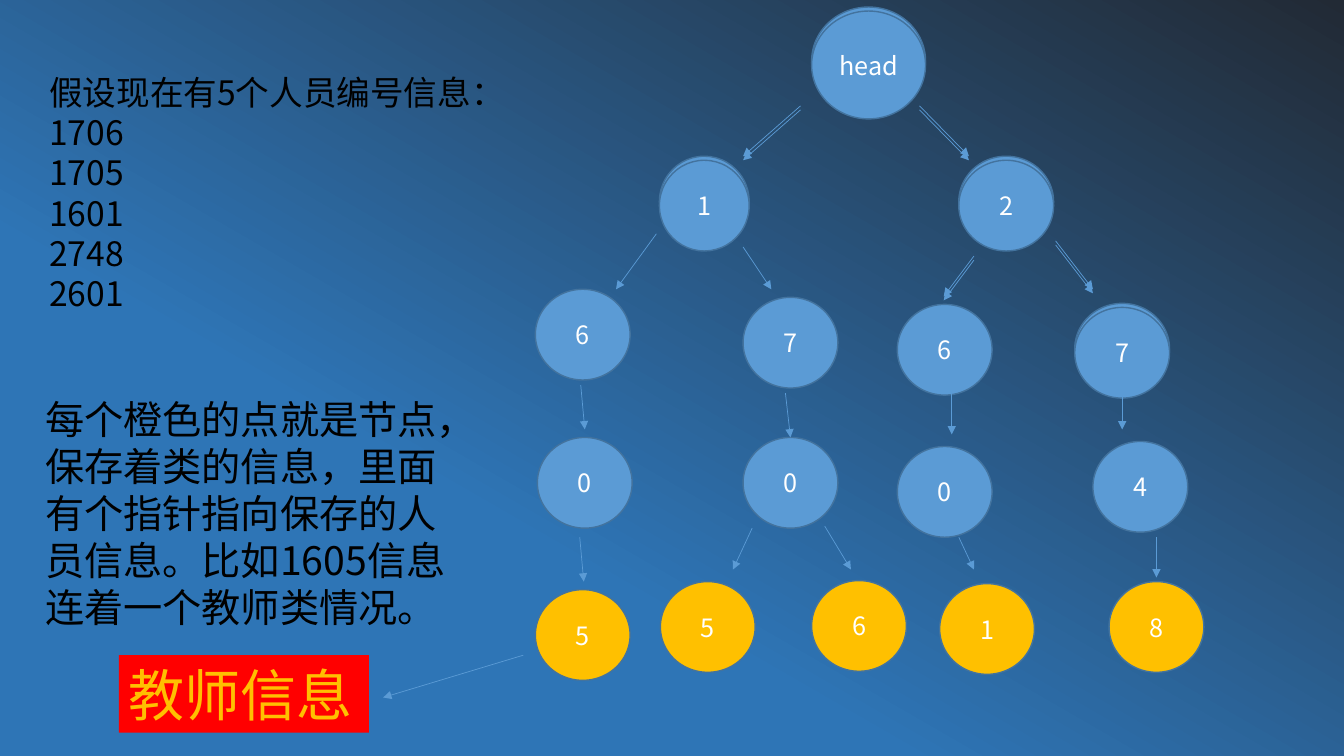
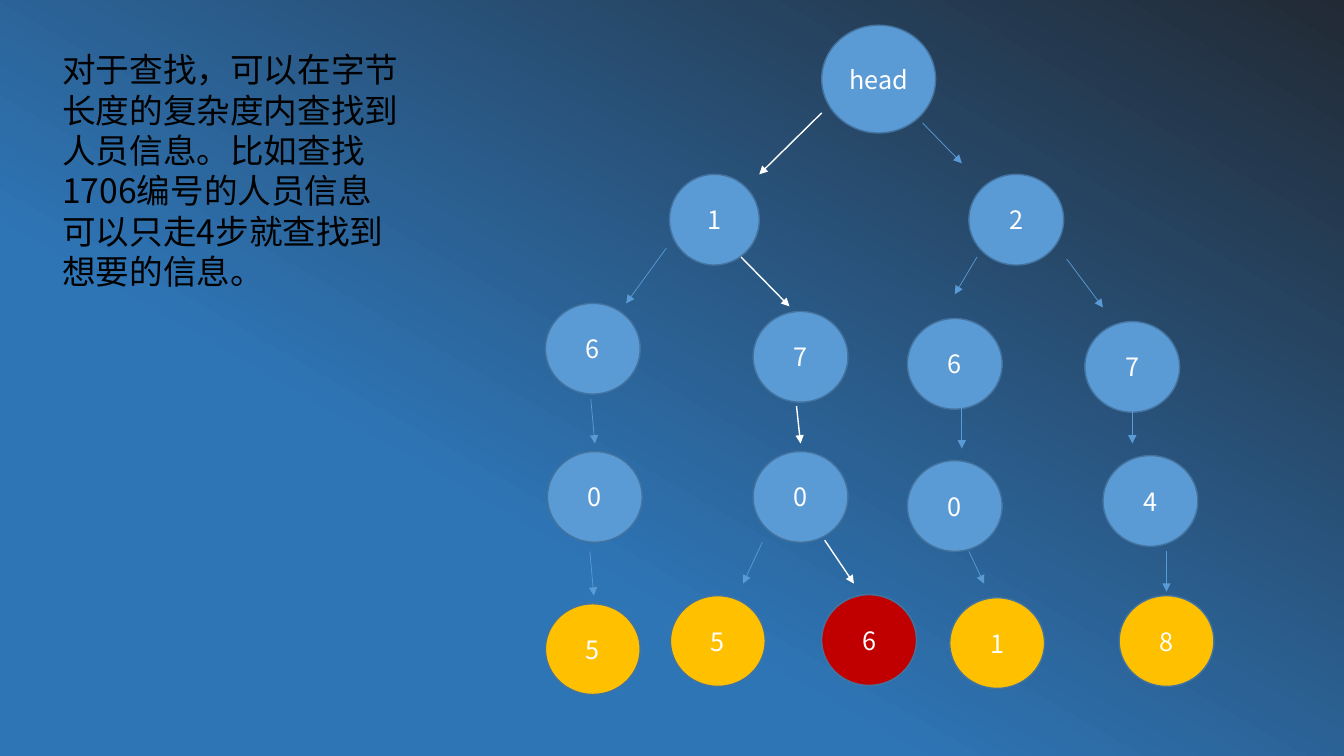
from lxml import etree
from pptx import Presentation
from pptx.dml.color import RGBColor
from pptx.enum.shapes import MSO_CONNECTOR, MSO_SHAPE
from pptx.enum.text import MSO_ANCHOR, MSO_AUTO_SIZE, PP_ALIGN
from pptx.oxml.ns import qn
from pptx.util import Inches, Pt

STRAIGHT = MSO_CONNECTOR.STRAIGHT
OVAL = MSO_SHAPE.OVAL
MIDDLE = MSO_ANCHOR.MIDDLE
GROW = MSO_AUTO_SIZE.SHAPE_TO_FIT_TEXT
CENTER = PP_ALIGN.CENTER

# Shared look
FONT = "Noto Sans CJK SC"
NAVY = RGBColor(0x22, 0x2A, 0x35)
BLUE = RGBColor(0x2E, 0x75, 0xB6)
SKY = RGBColor(0x5B, 0x9B, 0xD5)
OUTLINE = RGBColor(0x43, 0x73, 0x9E)
ORANGE = RGBColor(0xFF, 0xC0, 0x00)
RED = RGBColor(0xFF, 0x00, 0x00)
DARK_RED = RGBColor(0xC0, 0x00, 0x00)
WHITE = RGBColor(0xFF, 0xFF, 0xFF)
BLACK = RGBColor(0x00, 0x00, 0x00)
NODE_W, NODE_H = 0.94, 0.9

# Tree nodes: label, left, top and, where it differs, width and height
UPPER_NODES = [
    ("2", 9.51, 1.59), ("1", 6.54, 1.59, 0.89, 0.9),
    ("head", 8.05, 0.11, 1.13, 1.07), ("7", 10.66, 3.05),
]
INNER_NODES = [
    ("6", 8.9, 3.02), ("6", 5.31, 2.87), ("7", 7.37, 2.95),
    ("0", 5.33, 4.34), ("0", 7.37, 4.34), ("0", 8.9, 4.43),
    ("4", 10.84, 4.38),
]
LEAVES = [
    ("5", 6.55, 5.77), ("6", 8.05, 5.76), ("5", 5.31, 5.85),
    ("1", 9.32, 5.79), ("8", 11, 5.77),
]

# Arrows: x1, y1, x2, y2
TREE_ARROWS = [
    (6.51, 2.32, 6.11, 2.87), (7.46, 5.24, 7.27, 5.65),
    (5.76, 3.82, 5.8, 4.26), (5.75, 5.33, 5.79, 5.77),
    (9.44, 3.9, 9.44, 4.31), (11.13, 3.92, 11.13, 4.26),
    (9.51, 5.33, 9.66, 5.65), (11.47, 5.33, 11.47, 5.73),
]
DOUBLE_ARROWS = [
    (9.12, 1.09, 9.61, 1.59), (7.94, 1.09, 7.37, 1.59),
    (9.66, 2.58, 9.36, 2.98), (10.47, 2.43, 10.84, 2.91),
]
INSERT_ARROWS = [
    (7.37, 2.45, 7.65, 2.87), (7.79, 3.9, 7.84, 4.34),
    (8.18, 5.22, 8.44, 5.65), (5.19, 6.5, 3.8, 6.92),
]
SEARCH_ARROWS = [
    (10.58, 2.57, 10.94, 3.05), (9.15, 1.22, 9.54, 1.62),
    (9.69, 2.55, 9.47, 2.92),
]
SEARCH_PATH = [
    (8.15, 1.12, 7.53, 1.73), (7.35, 2.55, 7.83, 3.04),
    (7.9, 4.03, 7.94, 4.4), (8.18, 5.36, 8.47, 5.79),
]


def set_background(master):
    fill = master.background.fill
    fill.gradient()
    fill.gradient_angle = 240
    for stop, position, color in zip(fill.gradient_stops, (0, 0.66), (NAVY, BLUE)):
        stop.position = position
        stop.color.rgb = color


def add_run(p, text, size, color):
    r = p.add_run()
    r.text = text
    for name, value in {"name": FONT, "size": Pt(size)}.items():
        setattr(r.font, name, value)
    r.font.color.rgb = color
    etree.SubElement(r.font._element, qn("a:ea"), typeface=FONT)


def add_text(slide, box, lines, size, color=BLACK, fill=None):
    sp = slide.shapes.add_textbox(*map(Inches, box))
    if fill is not None:
        sp.fill.solid()
        sp.fill.fore_color.rgb = fill
    tf = sp.text_frame
    for name, value in {"word_wrap": True, "auto_size": GROW}.items():
        setattr(tf, name, value)
    for i, line in enumerate(lines):
        p = tf.add_paragraph() if i else tf.paragraphs[0]
        add_run(p, line, size, color)


def add_node(slide, label, x, y, w=NODE_W, h=NODE_H, fill=SKY):
    sp = slide.shapes.add_shape(OVAL, *map(Inches, (x, y, w, h)))
    sp.shadow.inherit = False
    sp.fill.solid()
    sp.fill.fore_color.rgb = fill
    sp.line.color.rgb = OUTLINE
    sp.line.width = Pt(1)
    tf = sp.text_frame
    tf.vertical_anchor = MIDDLE
    p = tf.paragraphs[0]
    p.alignment = CENTER
    add_run(p, label, 18, WHITE)


def add_arrow(slide, x1, y1, x2, y2, color=SKY, width=0.5):
    arrow = slide.shapes.add_connector(STRAIGHT, *map(Inches, (x1, y1, x2, y2)))
    arrow.line.color.rgb = color
    arrow.line.width = Pt(width)
    etree.SubElement(arrow.line._get_or_add_ln(), qn("a:tailEnd"), type="triangle")
    etree.SubElement(arrow._element.spPr, qn("a:effectLst"))


def add_nodes(slide, nodes, dx=0, dy=0, fill=SKY):
    for label, x, y, *size in nodes:
        add_node(slide, label, x + dx, y + dy, *size, fill=fill)


def add_arrows(slide, arrows, dx=0, dy=0, **style):
    for x1, y1, x2, y2 in arrows:
        add_arrow(slide, x1 + dx, y1 + dy, x2 + dx, y2 + dy, **style)


def add_tree(slide, dx=0, dy=0):
    add_nodes(slide, INNER_NODES + UPPER_NODES, dx, dy)
    add_nodes(slide, LEAVES, dx, dy, fill=ORANGE)
    add_arrows(slide, TREE_ARROWS, dx, dy)


def build_insert_slide(slide):
    # Upper part drawn twice, slightly offset
    add_nodes(slide, UPPER_NODES, dy=-0.04)
    add_tree(slide)
    for dy in (-0.04, 0):
        add_arrows(slide, DOUBLE_ARROWS, dy=dy)
    add_arrows(slide, INSERT_ARROWS)
    # Explanation
    add_text(slide, (0.39, 0.66, 4.45, 2.52),
             ["假设现在有5个人员编号信息：", "1706", "1705", "1601", "2748", "2601"], 24)
    add_text(slide, (0.35, 3.87, 4.33, 2.46),
             ["每个橙色的点就是节点，保存着类的信息，里面有个指针指向保存的人员信息。"
              "比如1605信息连着一个教师类情况。"], 28)
    add_text(slide, (1.18, 6.5, 2.48, 0.77), ["教师信息"], 40, ORANGE, RED)


def build_search_slide(slide):
    add_tree(slide, 0.1, 0.14)
    add_arrows(slide, SEARCH_ARROWS)
    # Path to the found leaf
    add_node(slide, "6", 8.15, 5.9, fill=DARK_RED)
    add_arrows(slide, SEARCH_PATH, color=WHITE, width=1)
    # Explanation
    add_text(slide, (0.52, 0.44, 3.54, 2.52),
             ["对于查找，可以在字节长度的复杂度内查找到人员信息。"
              "比如查找1706编号的人员信息可以只走4步就查找到想要的信息。"], 24)


def main():
    prs = Presentation()
    prs.slide_width, prs.slide_height = Inches(13.33), Inches(7.5)
    set_background(prs.slide_master)
    blank = prs.slide_layouts[6]
    for build in (build_insert_slide, build_search_slide):
        build(prs.slides.add_slide(blank))
    prs.save("out.pptx")


if __name__ == "__main__":
    main()
